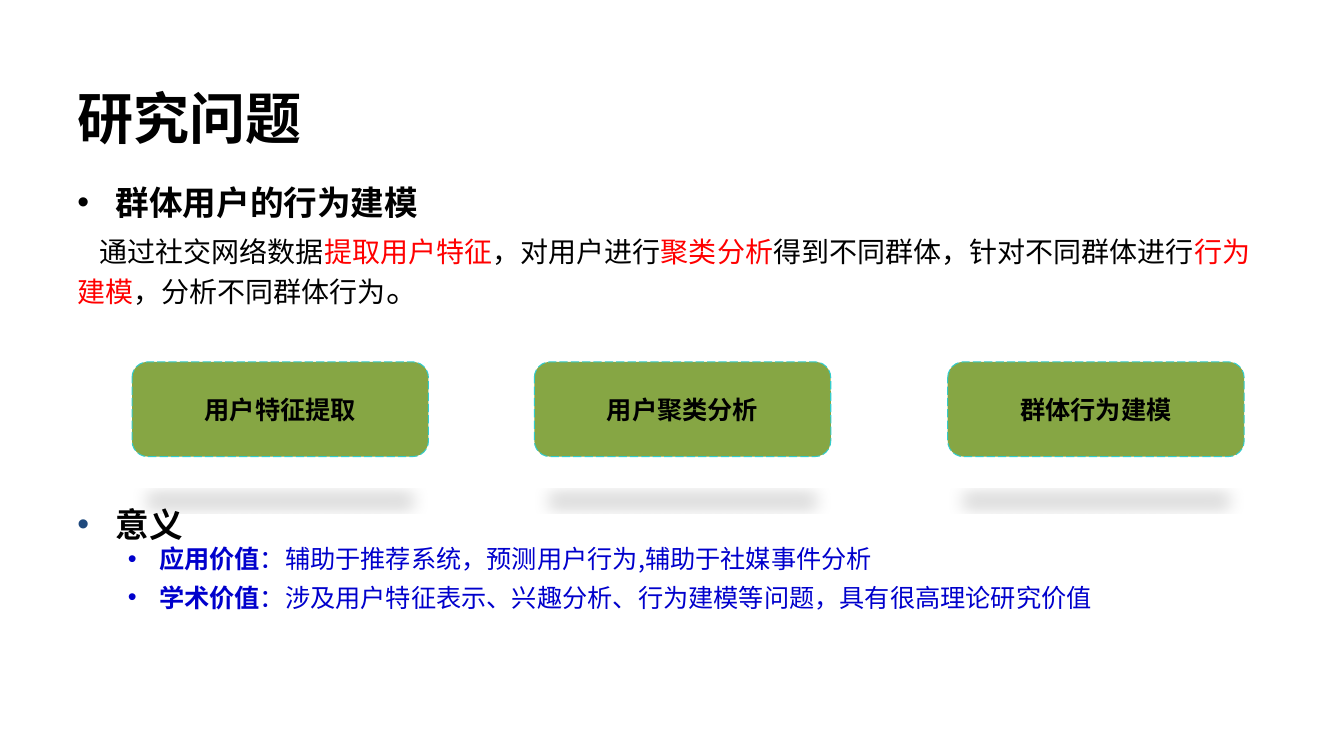
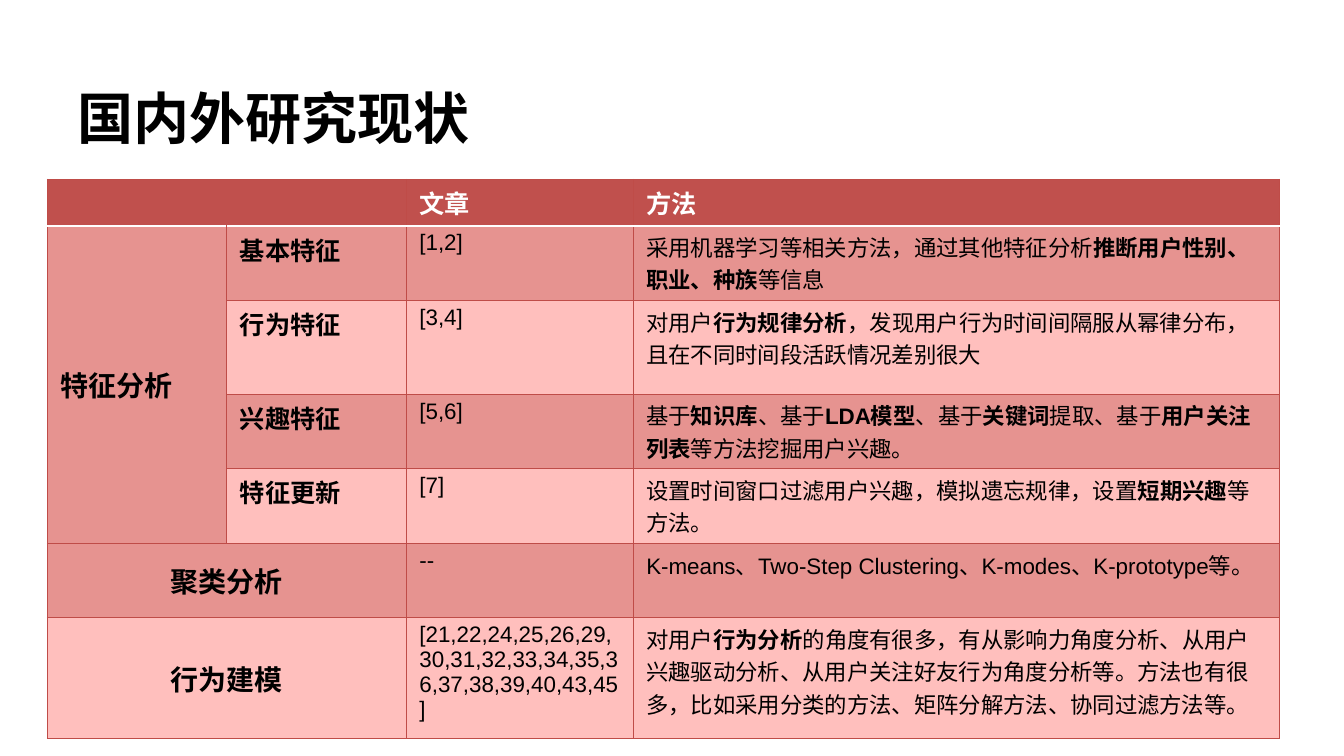
from lxml import etree
from pptx import Presentation
from pptx.dml.color import RGBColor
from pptx.enum.dml import MSO_LINE
from pptx.enum.shapes import MSO_SHAPE
from pptx.enum.text import MSO_ANCHOR, PP_ALIGN
from pptx.oxml.ns import qn
from pptx.util import Inches, Pt

ROUND = MSO_SHAPE.ROUNDED_RECTANGLE
DASH = MSO_LINE.LONG_DASH
TOP, MIDDLE = MSO_ANCHOR.TOP, MSO_ANCHOR.MIDDLE
LEFT, CENTER = PP_ALIGN.LEFT, PP_ALIGN.CENTER

BLACK = RGBColor(0, 0, 0)
WHITE = RGBColor(255, 255, 255)
RED = RGBColor(255, 0, 0)
BLUE = RGBColor(0, 0, 0xCC)
NAVY = RGBColor(0x1F, 0x49, 0x7D)
GREEN = RGBColor(0x86, 0xA6, 0x44)
CYAN = RGBColor(0x33, 0xCC, 0xCC)
BRICK = RGBColor(0xC0, 0x50, 0x4D)
EDGE = RGBColor(0xBF, 0x4C, 0x48)
ROSE = RGBColor(0xE6, 0x93, 0x90)
PINK = RGBColor(0xFF, 0xBF, 0xBD)

HAN = "Noto Sans CJK SC"
LATIN = "Arial"
BODY = "Calibri"

STEPS = [(1.31, "用户特征提取"), (5.3, "用户聚类分析"), (9.4, "群体行为建模")]
INTRO = ("通过社交网络数据|提取用户特征|，对用户进行|聚类分析|"
         "得到不同群体，针对不同群体进行|行为建模|，分析不同群体行为")
VALUES = [
    ("应用价值", "：辅助于推荐系统，预测用户行为,辅助于社媒事件分析"),
    ("学术价值", "：涉及用户特征表示、兴趣分析、行为建模等问题，具有很高理论研究价值"),
]
COLS = [1.78, 1.78, 2.25, 6.41]
ROWS = [0.46, 0.74, 0.93, 0.74, 0.74, 0.74, 1.2]
CELLS = [
    ("", "", "文章", "方法"),
    ("特征分析", "基本特征", "[1,2]",
     "采用机器学习等相关方法，通过其他特征分析|推断用户性别、职业、种族|等信息"),
    ("", "行为特征", "[3,4]",
     "对用户|行为规律分析|，发现用户行为时间间隔服从幂律分布，且在不同时间段活跃情况差别很大"),
    ("", "兴趣特征", "[5,6]",
     "基于|知识库|、基于|LDA模型|、基于|关键词|提取、基于|用户关注列表|等方法挖掘用户兴趣。"),
    ("", "特征更新", "[7]",
     "设置时间窗口过滤用户兴趣，模拟遗忘规律，设置|短期兴趣|等方法。"),
    ("聚类分析", "", "--",
     "K-means、Two-Step Clustering、K-modes、K-prototype等。"),
    ("行为建模", "", "[21,22,24,25,26,29,30,31,32,33,34,35,36,37,38,39,40,43,45]",
     "对用户|行为分析|的角度有很多，有从影响力角度分析、从用户兴趣驱动分析、"
     "从用户关注好友行为角度分析等。方法也有很多，比如采用分类的方法、"
     "矩阵分解方法、协同过滤方法等。"),
]


def add_run(para, text, size, color=BLACK, bold=False, face=LATIN):
    """Add one styled run with Latin and East Asian fonts."""
    run = para.add_run()
    run.text = text
    font = run.font
    font.size, font.bold, font.name = Pt(size), bold, face
    font.color.rgb = color
    font._element.find(qn("a:latin")).addnext(
        font._element.makeelement(qn("a:ea"), {"typeface": HAN}))


def add_box(slide, left, top, width, height, anchor=TOP):
    """Add a wrapping text box and return its frame."""
    frame = slide.shapes.add_textbox(
        Inches(left), Inches(top), Inches(width), Inches(height)).text_frame
    frame.word_wrap = True
    frame.vertical_anchor = anchor
    return frame


def set_bullet(para, left, hang, color):
    """Give a paragraph a hanging round bullet."""
    props = para._p.get_or_add_pPr()
    props.set("marL", str(Inches(left)))
    props.set("indent", str(-Inches(hang)))
    tint = etree.SubElement(props, qn("a:buClr"))
    etree.SubElement(tint, qn("a:srgbClr"), val=str(color))
    etree.SubElement(props, qn("a:buFont"), typeface=LATIN)
    etree.SubElement(props, qn("a:buChar"), char="•")


def add_head(para, text, color):
    """Write a bulleted heading."""
    set_bullet(para, 0.38, 0.38, color)
    para.line_spacing = Pt(35)
    add_run(para, text, 24, bold=True, face=BODY)


def add_title(slide, text):
    """Write the slide title."""
    frame = add_box(slide, 0.67, 0.76, 12, 0.8, MIDDLE)
    add_run(frame.paragraphs[0], text, 40, bold=True, face=HAN)


def add_intro(slide, left, top, width):
    """Write the topic and its summary with red key words."""
    frame = add_box(slide, left, top, width, 1.5)
    add_head(frame.paragraphs[0], "群体用户的行为建模", BLACK)
    para = frame.add_paragraph()
    para._p.get_or_add_pPr().set("indent", str(Inches(0.22)))
    para.space_before, para.line_spacing = Pt(4), Pt(29)
    for i, part in enumerate(INTRO.split("|")):
        add_run(para, part, 20, RED if i % 2 else BLACK, face=BODY)
    add_run(para, "。", 24, face=BODY)


def add_values(slide, left, top, width):
    """Write the list of research values."""
    frame = add_box(slide, left, top, width, 1.4)
    add_head(frame.paragraphs[0], "意义", NAVY)
    for name, text in VALUES:
        para = frame.add_paragraph()
        set_bullet(para, 0.81, 0.31, BLUE)
        para.line_spacing, para.space_after = Pt(21.5), Pt(6)
        add_run(para, name, 18, BLUE, True, HAN)
        add_run(para, text, 18, BLUE, face=HAN)


def add_step(slide, left, top, text):
    """Draw one green step with a flat shadow below it."""
    step = slide.shapes.add_shape(
        ROUND, Inches(left), Inches(top), Inches(2.94), Inches(0.94))
    step.fill.solid()
    step.fill.fore_color.rgb = GREEN
    step.line.color.rgb = CYAN
    step.line.width, step.line.dash_style = Pt(0.75), DASH
    step.shadow.inherit = False
    cast = etree.SubElement(
        step._element.spPr.find(qn("a:effectLst")), qn("a:outerShdw"),
        blurRad=str(Pt(12)), dist=str(Pt(25)), dir="5400000",
        sx="90000", sy="-19000", rotWithShape="0")
    tint = etree.SubElement(cast, qn("a:srgbClr"), val=str(BLACK))
    etree.SubElement(tint, qn("a:alpha"), val="15000")
    frame = step.text_frame
    frame.word_wrap = False
    frame.vertical_anchor = MIDDLE
    para = frame.paragraphs[0]
    para.alignment = CENTER
    add_run(para, text, 18, bold=True)


def set_edges(cell, row):
    """Draw the four borders of a cell, white below the header."""
    props = cell._tc.get_or_add_tcPr()
    for i, side in enumerate("LRTB"):
        white = (row, side) in ((0, "B"), (1, "T"))
        line = etree.Element(qn("a:ln" + side), w=str(Pt(2 if white else 0.75)))
        fill = etree.SubElement(line, qn("a:solidFill"))
        etree.SubElement(fill, qn("a:srgbClr"), val=str(WHITE if white else EDGE))
        props.insert(i, line)


def fill_cell(cell, row, col, text):
    """Style one table cell and write its text."""
    cell.margin_left = cell.margin_right = Inches(0.13)
    cell.margin_top = cell.margin_bottom = Inches(0.05)
    cell.fill.solid()
    cell.fill.fore_color.rgb = BRICK if row == 0 else ROSE if row % 2 else PINK
    set_edges(cell, row)
    if not text:
        return
    cell.vertical_anchor = TOP if col else MIDDLE
    para = cell.text_frame.paragraphs[0]
    para.alignment = CENTER if col == 0 and row > 4 else LEFT
    size = 18 if row == 0 else (20, 18, 16, 16)[col]
    strong = row == 0 or col < 2
    for i, part in enumerate(text.split("|")):
        add_run(para, part, size, BLACK if row else WHITE, strong or i % 2 == 1)


def add_review(slide, left, top):
    """Build the table of related work."""
    table = slide.shapes.add_table(
        len(ROWS), len(COLS), Inches(left), Inches(top),
        Inches(sum(COLS)), Inches(sum(ROWS))).table
    for col, width in zip(table.columns, COLS):
        col.width = Inches(width)
    for row, height in zip(table.rows, ROWS):
        row.height = Inches(height)
    for r, texts in enumerate(CELLS):
        for c, text in enumerate(texts):
            fill_cell(table.cell(r, c), r, c, text)
    for r in (0, 5, 6):
        table.cell(r, 0).merge(table.cell(r, 1))
    table.cell(1, 0).merge(table.cell(4, 0))


def main():
    """Build and save the deck."""
    deck = Presentation()
    deck.slide_width, deck.slide_height = Inches(13.33), Inches(7.5)
    blank = deck.slide_layouts[6]

    slide = deck.slides.add_slide(blank)
    add_title(slide, "研究问题")
    add_intro(slide, 0.67, 1.67, 12)
    add_values(slide, 0.67, 4.86, 12)
    for left, text in STEPS:
        add_step(slide, left, 3.59, text)

    slide = deck.slides.add_slide(blank)
    add_title(slide, "国内外研究现状")
    add_review(slide, 0.47, 1.78)
    deck.save("out.pptx")


if __name__ == "__main__":
    main()
